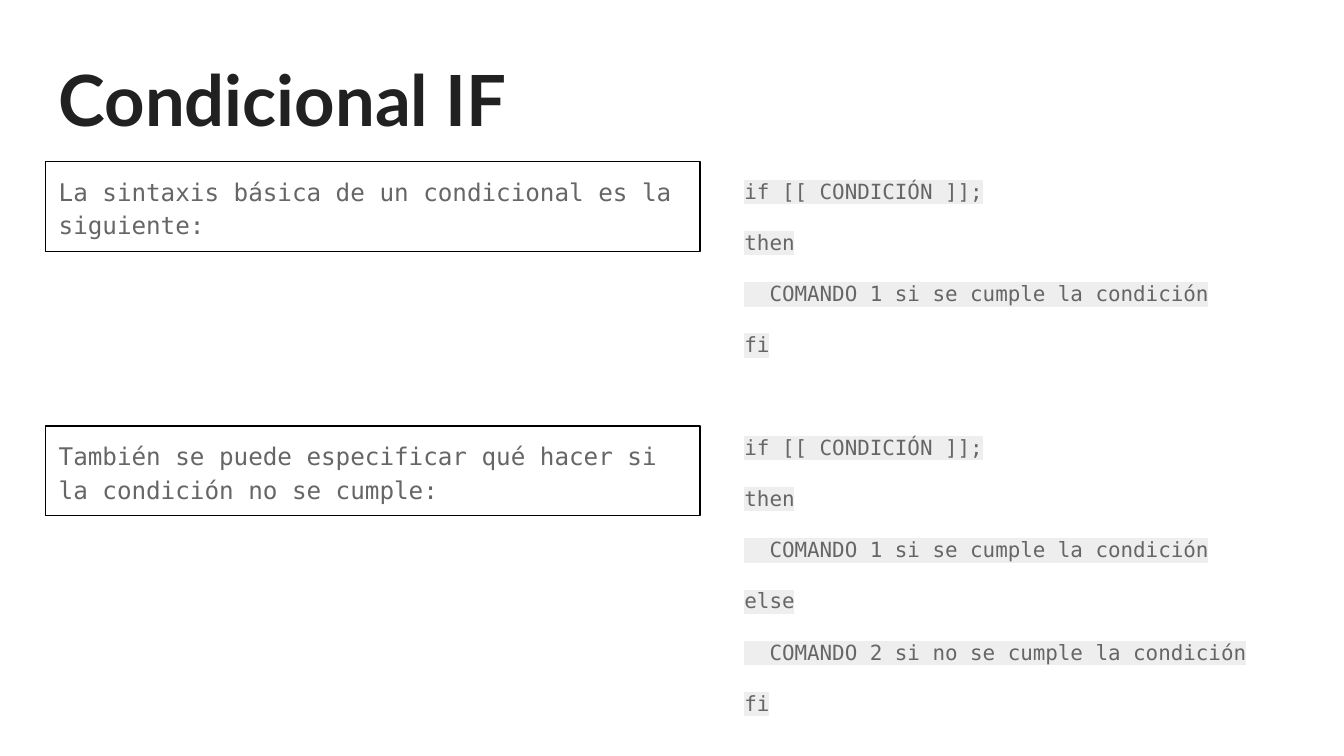
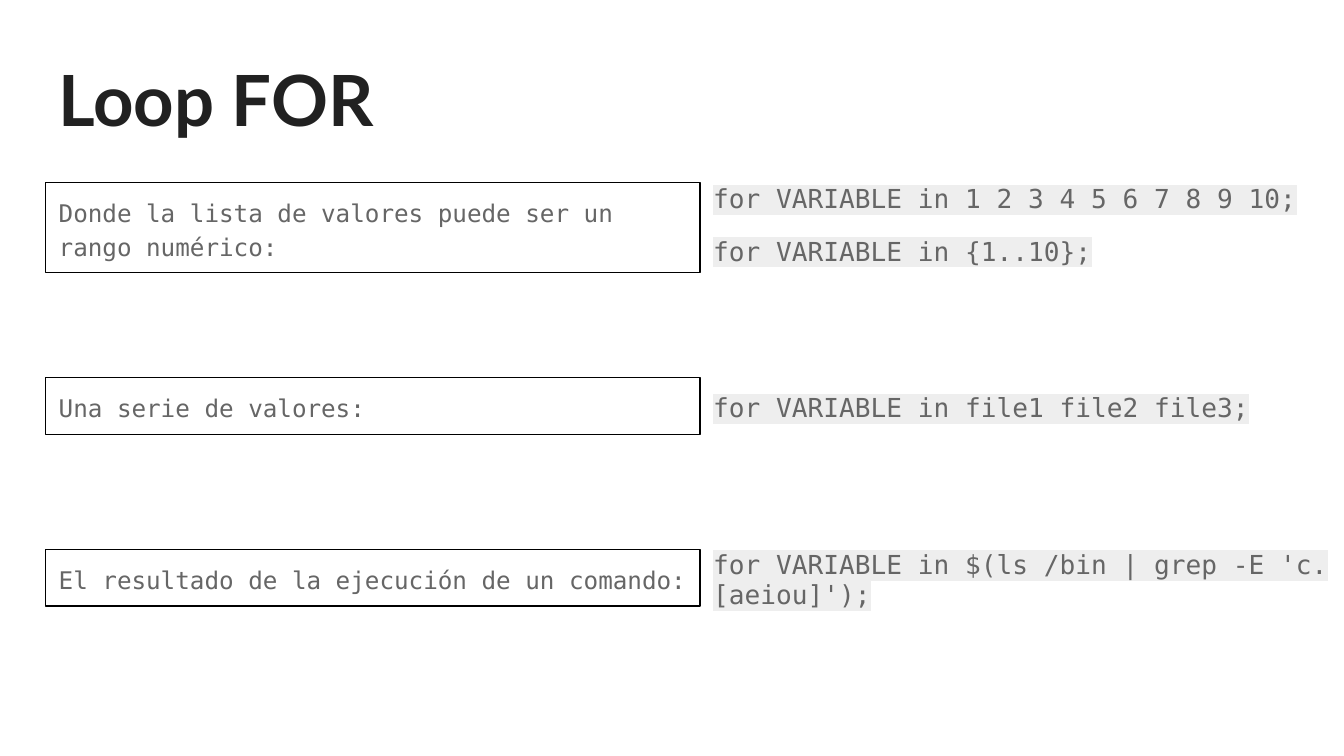
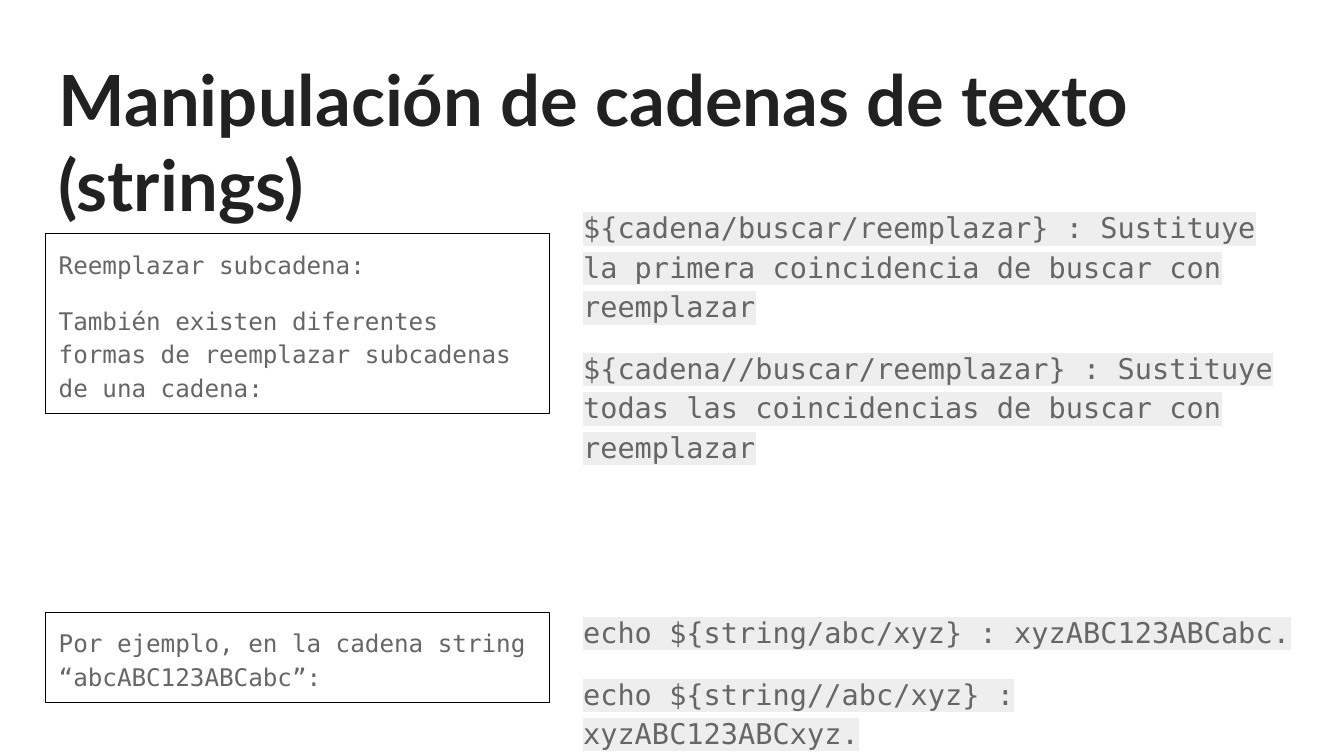
from lxml.etree import SubElement
from pptx import Presentation
from pptx.dml.color import RGBColor
from pptx.enum.shapes import MSO_SHAPE as Preset
from pptx.enum.text import MSO_ANCHOR as Anchor, MSO_AUTO_SIZE as Fit, PP_ALIGN as Align
from pptx.oxml.ns import qn
from pptx.util import Cm, Pt

COLORS = {"title": "212121", "text": "666666", "highlight": "EEEEEE", "border": "000000"}
MONO = "DejaVu Sans Mono"
LEFT = 0.86
INSET = Cm(0.25)
PARAGRAPH_GAP = 12
FRAME = {"word_wrap": True, "margin_left": INSET, "margin_right": INSET,
         "margin_top": INSET, "margin_bottom": INSET}
TITLE_FONT = {"name": "Lato", "size": Pt(37.8), "bold": True}
NOTE_FONT = {"name": MONO, "size": Pt(13)}


def apply_format(target, values):
    """Set every attribute in values on the target."""
    for attribute, value in values.items():
        setattr(target, attribute, value)


def color(key):
    """Return a palette colour."""
    return RGBColor.from_string(COLORS[key])


def highlight(run):
    """Put the code background behind a run that already has its colour."""
    properties = run._r.get_or_add_rPr()
    marker = SubElement(properties, qn("a:highlight"))
    SubElement(marker, qn("a:srgbClr")).set("val", COLORS["highlight"])
    properties.find(qn("a:solidFill")).addnext(marker)


def write(frame, lines, font, ink="text", spacing=None, gaps=None, marked=False):
    """Write one paragraph per line; gaps holds wider spaces before some lines."""
    apply_format(frame, FRAME)
    for index, line in enumerate(lines):
        paragraph = frame.paragraphs[0] if index == 0 else frame.add_paragraph()
        apply_format(paragraph, {"alignment": Align.LEFT, "line_spacing": spacing})
        if index:
            paragraph.space_before = Pt((gaps or {}).get(index, PARAGRAPH_GAP))
        run = paragraph.add_run()
        run.text = line
        apply_format(run.font, font)
        run.font.color.rgb = color(ink)
        if marked:
            highlight(run)
    return paragraph


def add_title(slide, title):
    """Add the slide heading."""
    box = slide.shapes.add_textbox(Cm(LEFT), Cm(0.81), Cm(23.67), Cm(2.24))
    write(box.text_frame, [title], TITLE_FONT, ink="title")


def add_code(slide, area, size, lines, gaps, spacing=1.15):
    """Add the highlighted code column."""
    box = slide.shapes.add_textbox(*map(Cm, area))
    write(box.text_frame, lines, {"name": MONO, "size": Pt(size)},
          spacing=spacing, gaps=gaps, marked=True)


def add_note(slide, top, width, height, *lines):
    """Add an outlined explanation at the left margin."""
    note = slide.shapes.add_shape(Preset.RECTANGLE, Cm(LEFT), Cm(top), Cm(width), Cm(height))
    note.shadow.inherit = False
    note.fill.background()
    note.line.color.rgb = color("border")
    note.line.width = Pt(0.75)
    apply_format(note.text_frame, {"vertical_anchor": Anchor.MIDDLE,
                                   "auto_size": Fit.SHAPE_TO_FIT_TEXT})
    last = write(note.text_frame, lines, NOTE_FONT, spacing=1.15)
    last.space_after = Pt(PARAGRAPH_GAP)


def add_topic(deck, title, code, note_width, notes):
    """Add a slide with a heading, a code column and its explanations."""
    slide = deck.slides.add_slide(deck.slide_layouts[6])
    add_title(slide, title)
    add_code(slide, **code)
    for top, height, *lines in notes:
        add_note(slide, top, note_width, height, *lines)


def main():
    """Build the deck."""
    deck = Presentation()
    apply_format(deck, {"slide_width": Cm(25.4), "slide_height": Cm(14.29)})

    condition = ["if [[ CONDICIÓN ]];", "then", "  COMANDO 1 si se cumple la condición"]
    alternative = ["else", "  COMANDO 2 si no se cumple la condición"]
    add_topic(
        deck, "Condicional IF",
        {"area": (13.82, 3.05, 11.58, 11.24), "size": 11.2, "gaps": {4: 39.5},
         "lines": condition + ["fi"] + condition + alternative + ["fi"]},
        12.37,
        [(3.05, 1.7, "La sintaxis básica de un condicional es la siguiente:"),
         (8.05, 1.7, "También se puede especificar qué hacer si la condición no se cumple:")])

    values = ["1 2 3 4 5 6 7 8 9 10", "{1..10}", "file1 file2 file3",
              "$(ls /bin | grep -E 'c.[aeiou]')"]
    add_topic(
        deck, "Loop FOR",
        {"area": (13.23, 3.25, 12.17, 9.22), "size": 14, "gaps": {2: 68, 3: 68},
         "spacing": 0.95, "lines": [f"for VARIABLE in {value};" for value in values]},
        12.37,
        [(3.45, 1.7, "Donde la lista de valores puede ser un rango numérico:"),
         (7.14, 1.07, "Una serie de valores:"),
         (10.39, 1.07, "El resultado de la ejecución de un comando:")])

    add_topic(
        deck, "Manipulación de cadenas de texto (strings)",
        {"area": (10.77, 3.63, 14.2, 10.01), "size": 15.3, "gaps": {2: 78},
         "lines": [
             "${cadena/buscar/reemplazar} : Sustituye la primera coincidencia "
             "de buscar con reemplazar",
             "${cadena//buscar/reemplazar} : Sustituye todas las coincidencias "
             "de buscar con reemplazar",
             "echo ${string/abc/xyz} : xyzABC123ABCabc.",
             "echo ${string//abc/xyz} : xyzABC123ABCxyz."]},
        9.53,
        [(4.42, 3.4, "Reemplazar subcadena:",
          "También existen diferentes formas de reemplazar subcadenas de una cadena:"),
         (11.58, 1.7, "Por ejemplo, en la cadena string “abcABC123ABCabc”:")])

    deck.save("out.pptx")


if __name__ == "__main__":
    main()
